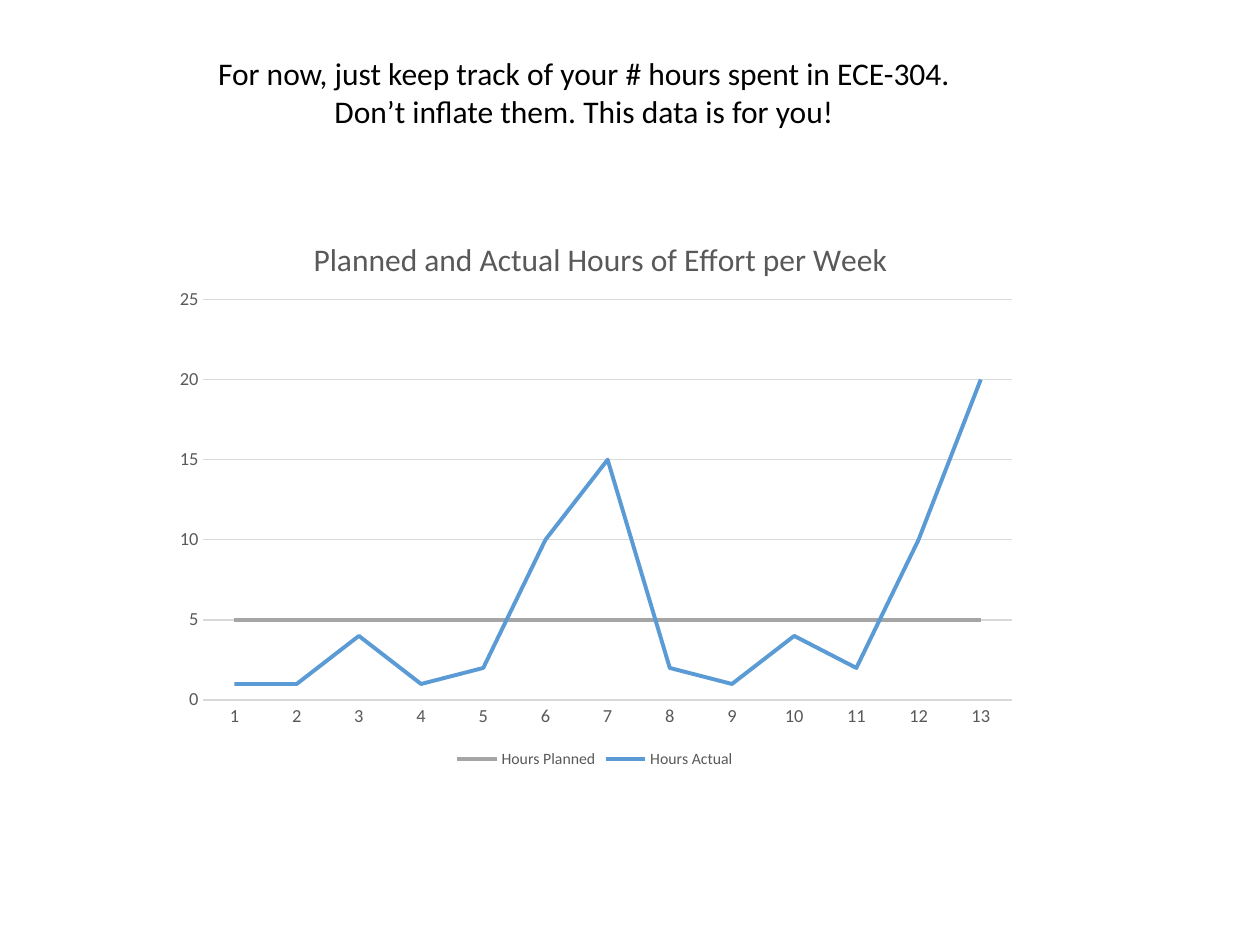
import pptx
import pptx.chart.data
import pptx.dml.color
import pptx.enum.chart
import pptx.enum.text
import pptx.oxml
import pptx.oxml.ns
import pptx.util
from pptx.util import Inches, Pt

ADVICE = [
    "For now, just keep track of your # hours spent in ECE-304.",
    "Don’t inflate them. This data is for you!",
]
CHART_TITLE = "Planned and Actual Hours of Effort per Week"
EFFORT = [
    ("Hours Planned", [5] * 13, "A5A5A5"),
    ("Hours Actual", [1, 1, 4, 1, 2, 10, 15, 2, 1, 4, 2, 10, 20], "5B9BD5"),
]
GREY, RULE = "595959", "D9D9D9"


def rgb(value):
    return pptx.dml.color.RGBColor.from_string(value)


def style_font(font, size, color):
    font.name, font.size, font.bold = "Calibri", Pt(size), False
    font.color.rgb = rgb(color)


def style_line(line, width, color):
    line.width = Pt(width)
    line.color.rgb = rgb(color)


def manual_layout(after, target="", **fractions):
    parts = target and f'<c:layoutTarget val="{target}"/>'
    parts += "".join(f'<c:{k}Mode val="edge"/>' for k in "xy")
    parts += "".join(f'<c:{k} val="{v}"/>' for k, v in fractions.items())
    return pptx.oxml.parse_xml(
        f'<c:layout {pptx.oxml.ns.nsdecls("c")}>'
        f"<c:manualLayout>{parts}</c:manualLayout></c:layout>"
    )


def place(parent, position, **settings):
    for old in parent.findall(pptx.oxml.ns.qn("c:layout")):
        parent.remove(old)
    parent.insert(position, manual_layout(parent, **settings))


def add_advice(slide):
    frame = slide.shapes.add_textbox(
        Inches(1.27), Inches(0.38), Inches(6.73), Inches(0.71)
    ).text_frame
    frame.word_wrap = True
    frame.auto_size = pptx.enum.text.MSO_AUTO_SIZE.SHAPE_TO_FIT_TEXT
    frame.text = "\n".join(ADVICE)
    for paragraph in frame.paragraphs:
        paragraph.alignment = pptx.enum.text.PP_ALIGN.CENTER
        style_font(paragraph.runs[0].font, 18, "000000")


def add_effort_chart(slide):
    data = pptx.chart.data.CategoryChartData()
    data.categories = [str(week) for week in range(1, 14)]
    for name, hours, _ in EFFORT:
        data.add_series(name, hours)
    chart = slide.shapes.add_chart(
        pptx.enum.chart.XL_CHART_TYPE.LINE,
        Inches(1.27), Inches(1.66), Inches(6.9), Inches(4.48), data,
    ).chart
    style_font(chart.font, 10, "000000")

    chart.has_title = True
    title = chart.chart_title
    title.text_frame.text = CHART_TITLE
    style_font(title.text_frame.paragraphs[0].runs[0].font, 18, GREY)
    title.include_in_layout = False

    chart.has_legend = True
    chart.legend.position = pptx.enum.chart.XL_LEGEND_POSITION.BOTTOM
    chart.legend.include_in_layout = False
    style_font(chart.legend.font, 9, GREY)

    weeks, hours_axis = chart.category_axis, chart.value_axis
    for axis in (weeks, hours_axis):
        axis.major_tick_mark = pptx.enum.chart.XL_TICK_MARK.NONE
        axis.minor_tick_mark = pptx.enum.chart.XL_TICK_MARK.NONE
        style_font(axis.tick_labels.font, 10.5, GREY)
    style_line(weeks.format.line, 0.75, RULE)
    hours_axis.format.line.fill.background()
    hours_axis.minimum_scale, hours_axis.maximum_scale = 0, 25
    hours_axis.major_unit = 5
    style_line(hours_axis.major_gridlines.format.line, 0.75, RULE)

    plot = chart.plots[0]
    plot.vary_by_categories = False
    for series, (_, _, color) in zip(plot.series, EFFORT):
        series.smooth = False
        series.marker.style = pptx.enum.chart.XL_MARKER_STYLE.NONE
        style_line(series.format.line, 2.25, color)

    title_xml = chart.chart_title.format.line and chart._chartSpace.chart.find(
        pptx.oxml.ns.qn("c:title")
    )
    place(title_xml, 1, x=0.17, y=0.04)
    place(chart._chartSpace.chart.plotArea, 0, target="inner",
          x=0.05, y=0.16, w=0.93, h=0.71)


def main():
    """Build the weekly effort slide."""
    deck = pptx.Presentation()
    deck.slide_width, deck.slide_height = Inches(10), Inches(7.5)
    slide = deck.slides.add_slide(deck.slide_layouts[6])
    add_effort_chart(slide)
    add_advice(slide)
    deck.save("out.pptx")


if __name__ == "__main__":
    main()
